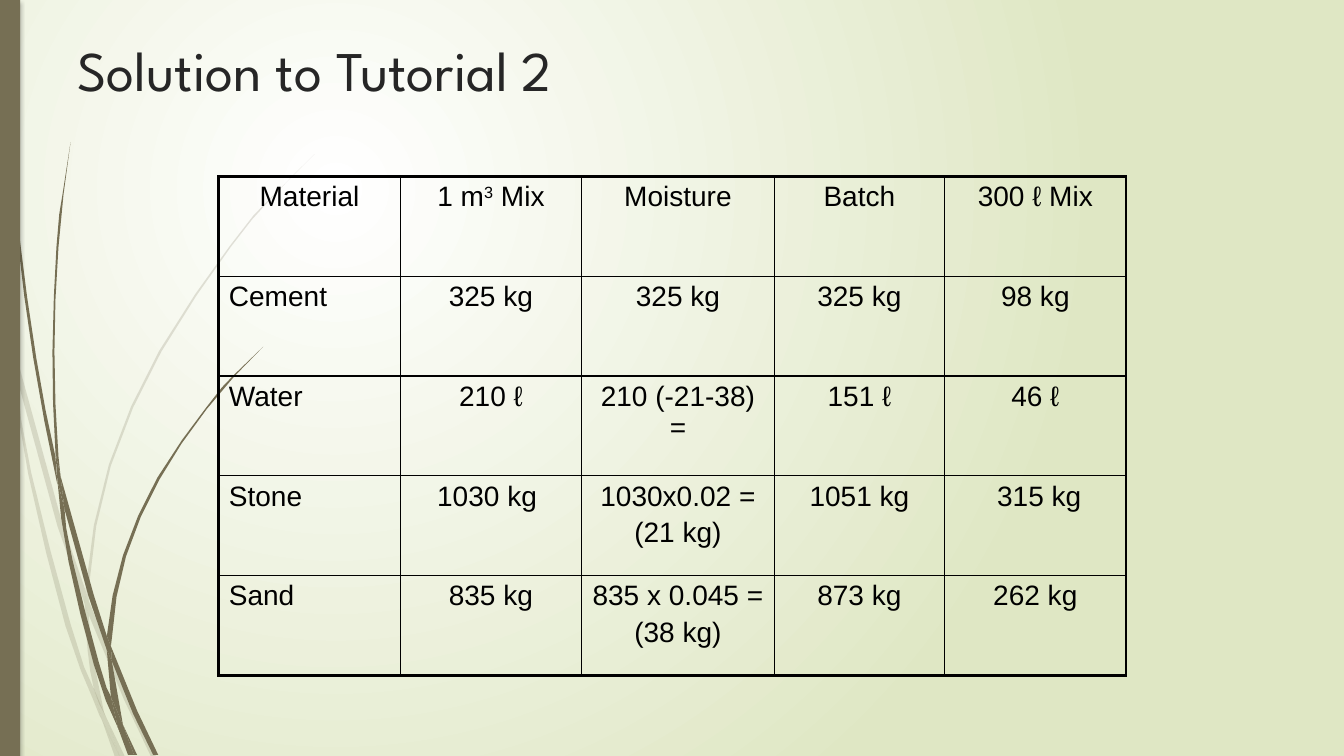
from lxml.etree import SubElement
from pptx import Presentation
from pptx.dml.color import RGBColor
from pptx.enum.shapes import MSO_SHAPE
from pptx.enum.text import MSO_ANCHOR, PP_ALIGN
from pptx.oxml.ns import qn
from pptx.util import Inches, Pt

COLORS = {
    "white": "FFFFFF",
    "lime": "DFE7C4",
    "olive": "766F54",
    "title": "262626",
    "black": "000000",
}
THIN, THICK = 0.96, 2.21

PALE_BLADES = [
    [[(0.11, 3.5), (0.08, 3.22), (0, 2.82)], [(0, 2.99), (0.1, 3.44)]],
    [[(0.17, 3.76), (0.57, 5.22), (0.84, 5.99)], [(0.85, 5.86), (0.62, 5.2), (0.14, 3.45)]],
    [[(0.88, 6.1), (1.23, 6.94), (1.5, 7.51)], [(1.55, 7.51), (1.27, 6.91), (0.88, 5.96)]],
    [[(1.05, 7.11), (1.19, 7.51)], [(1.24, 7.51)]],
    [[(0.11, 3.5), (0.28, 4.7), (0.65, 6.21), (0.92, 6.93), (1.01, 7.14)],
     [(0.93, 6.83), (0.7, 6.19), (0.31, 4.69), (0.17, 3.76)]],
    [[(0.84, 5.99), (0.87, 6.46), (0.93, 6.83), (1.05, 7.11)],
     [(1.03, 7.06), (0.91, 6.46), (0.88, 6.1)]],
    [[(0.88, 5.84), (1.1, 4.62), (1.6, 3.49), (2.29, 2.45), (2.68, 1.98), (3.12, 1.53)],
     [(2.68, 1.97), (2.28, 2.44), (1.58, 3.48), (1.08, 4.61), (0.85, 5.84)],
     [(0.88, 5.96)]],
    [[(1.01, 7.14), (1.14, 7.51)], [(1.19, 7.51)]],
    [[(0.88, 6.1), (0.88, 5.96)], [(0.85, 5.86), (0.84, 5.99)]],
    [[(0.93, 6.83), (1.01, 7.14), (1.19, 7.51)], [(1.05, 7.11)]],
]
DARK_BLADES = [
    [[(0.03, 0), (0.07, 1.1), (0.17, 2.33), (0.33, 3.55), (0.57, 4.81)],
     [(0.55, 4.53), (0.36, 3.55), (0.19, 2.32), (0.08, 1.09), (0.04, 0)]],
    [[(0.64, 5.05), (0.88, 5.92), (1.06, 6.45)], [(1.06, 6.31), (0.93, 5.9), (0.6, 4.72)]],
    [[(1.11, 6.56), (1.32, 7.08), (1.52, 7.49)], [(1.57, 7.49), (1.36, 7.05), (1.1, 6.41)]],
    [[(0.57, 4.77), (0.68, 5.57), (0.93, 6.59), (1.17, 7.22)],
     [(1.1, 6.91), (0.98, 6.57), (0.72, 5.56), (0.64, 5.05)]],
    [[(0.58, 4.53), (0.54, 3.49), (0.58, 2.45), (0.7, 1.41)],
     [(0.62, 1.93), (0.56, 2.45), (0.52, 3.49), (0.55, 4.49)],
     [(0.6, 4.72)]],
    [[(1.22, 7.19), (1.33, 7.49)], [(1.36, 7.49)]],
    [[(0.55, 4.49), (0.57, 4.77), (0.64, 5.05)], [(0.6, 4.72)]],
    [[(1.11, 6.33), (1.25, 5.52), (1.58, 4.76), (2.05, 4.06), (2.61, 3.44)],
     [(2.31, 3.73), (2.04, 4.05), (1.56, 4.74), (1.22, 5.51), (1.06, 6.31)],
     [(1.1, 6.41)]],
    [[(1.17, 7.22), (1.27, 7.49)], [(1.31, 7.49)]],
    [[(1.06, 6.45), (1.1, 6.91), (1.22, 7.19)], [(1.11, 6.56)]],
    [[(1.06, 6.45), (1.11, 6.56)], [(1.1, 6.41), (1.06, 6.31)]],
    [[(1.1, 6.91), (1.17, 7.22), (1.3, 7.49)], [(1.33, 7.49), (1.22, 7.19)]],
]

COLUMNS = [1.8, 1.8, 1.91, 1.69, 1.8]
ROWS = [
    ["Material", "1 m^3^ Mix", "Moisture", "Batch", "300 ℓ Mix"],
    ["Cement", "325 kg", "325 kg", "325 kg", "98 kg"],
    ["Water", "210 ℓ", "210 (-21-38) =", "151 ℓ", "46 ℓ"],
    ["Stone", "1030 kg ", "1030x0.02 =\n(21 kg)", "1051 kg", " 315 kg"],
    ["Sand", "835 kg", "835 x 0.045 =\n(38 kg)", "873 kg", "262 kg"],
]


def rgb(name):
    return RGBColor.from_string(COLORS[name])


def set_font(font, face, size, color):
    font.name, font.size = face, Pt(size)
    font.color.rgb = rgb(color)


def paint_background(s):
    fill = s.background.fill
    fill.gradient()
    for position, (stop, color) in enumerate(zip(fill.gradient_stops, ("white", "lime"))):
        stop.color.rgb = rgb(color)
        stop.position = position
    grad = s._element.find(".//" + qn("a:gradFill"))
    grad.remove(grad.find(qn("a:lin")))
    circle = SubElement(grad, qn("a:path"), {"path": "circle"})
    SubElement(circle, qn("a:fillToRect"), l="25000", t="25000", r="75000", b="75000")


def smooth_edge(points):
    if len(points) < 4:
        return points

    def beyond(a, b, c):
        return tuple(3 * u - 3 * v + w for u, v, w in zip(a, b, c))

    pts = [beyond(*points[:3]), *points, beyond(*points[:-4:-1])]
    curve = [points[0]]
    for a, b, c, d in zip(pts, pts[1:], pts[2:], pts[3:]):
        middle = tuple((9 * (q + r) - p - w) / 16 for p, q, r, w in zip(a, b, c, d))
        curve += [middle, c]
    return curve


def add_grass(s, left, top, blades, alpha=100):
    group = s.shapes.add_group_shape()
    for edges in blades:
        outline = [(Inches(left + x), Inches(top + y))
                   for edge in edges for x, y in smooth_edge(edge)]
        builder = group.shapes.build_freeform(*outline[0], scale=1.0)
        builder.add_line_segments(outline[1:], close=True)
        sp = builder.convert_to_shape()
        sp.shadow.inherit = False
        sp.line.fill.background()
        sp.fill.solid()
        sp.fill.fore_color.rgb = rgb("olive")
        if alpha < 100:
            color = sp._element.spPr.find(".//" + qn("a:srgbClr"))
            SubElement(color, qn("a:alpha"), val=str(alpha * 1000))


def add_side_bar(s, left, top, width, height):
    sp = s.shapes.add_shape(MSO_SHAPE.RECTANGLE, *map(Inches, (left, top, width, height)))
    sp.fill.solid()
    sp.fill.fore_color.rgb = rgb("olive")
    sp.line.fill.background()
    sp.shadow.inherit = False
    effects = sp._element.spPr.find(qn("a:effectLst"))
    shadow = SubElement(effects, qn("a:outerShdw"), blurRad=str(Pt(3)), dist=str(Pt(2)), dir="5400000")
    color = SubElement(shadow, qn("a:srgbClr"), val=COLORS["black"])
    SubElement(color, qn("a:alpha"), val="25000")


def add_title(s, left, top, width, height):
    sp = s.shapes.title
    sp.left, sp.top, sp.width, sp.height = map(Inches, (left, top, width, height))
    tf = sp.text_frame
    tf.word_wrap = True
    tf.vertical_anchor = MSO_ANCHOR.TOP
    p = tf.paragraphs[0]
    p.alignment = PP_ALIGN.LEFT
    r = p.add_run()
    r.text = "Solution to Tutorial 2"
    set_font(r.font, "League Spartan", 40, "title")


def set_borders(cell, widths):
    tcPr = cell._tc.get_or_add_tcPr()
    for side, width in zip("LRTB", widths):
        ln = SubElement(tcPr, qn("a:ln" + side), w=str(Pt(width)))
        SubElement(SubElement(ln, qn("a:solidFill")), qn("a:srgbClr"), val=COLORS["black"])


def fill_cell(cell, text, align):
    tf = cell.text_frame
    for i, line in enumerate(text.split("\n")):
        p = tf.add_paragraph() if i else tf.paragraphs[0]
        p.alignment = align
        if i:
            p.space_before = Pt(4)
        for j, part in enumerate(line.split("^")):
            r = p.add_run()
            r.text = part
            set_font(r.font, "Arial", 20, "black")
            if j % 2:
                r.font._element.set("baseline", "30000")


def add_mix_table(s, left, top, width, height):
    rows, cols = len(ROWS), len(COLUMNS)
    table = s.shapes.add_table(rows, cols, *map(Inches, (left, top, width, height))).table
    table.first_row = table.horz_banding = False
    for column, share in zip(table.columns, COLUMNS):
        column.width = Inches(width * share / sum(COLUMNS))
    for i, texts in enumerate(ROWS):
        table.rows[i].height = Inches(height / rows)
        for j, text in enumerate(texts):
            cell = table.cell(i, j)
            outer = (j == 0, j == cols - 1, i == 0, i == rows - 1)
            set_borders(cell, [THICK if edge else THIN for edge in outer])
            cell.fill.background()
            fill_cell(cell, text, PP_ALIGN.LEFT if i and j == 0 else PP_ALIGN.CENTER)


def main():
    prs = Presentation()
    prs.slide_width, prs.slide_height = Inches(13.33), Inches(7.5)
    s = prs.slides.add_slide(prs.slide_layouts[5])
    paint_background(s)
    add_grass(s, 0, 0, PALE_BLADES, alpha=20)
    add_grass(s, 0, 0, DARK_BLADES)
    add_side_bar(s, 0, 0, 0.2, 7.5)
    add_title(s, 0.67, 0.3, 12, 1.25)
    add_mix_table(s, 2.17, 1.75, 9, 4.95)
    prs.save("out.pptx")


if __name__ == "__main__":
    main()
